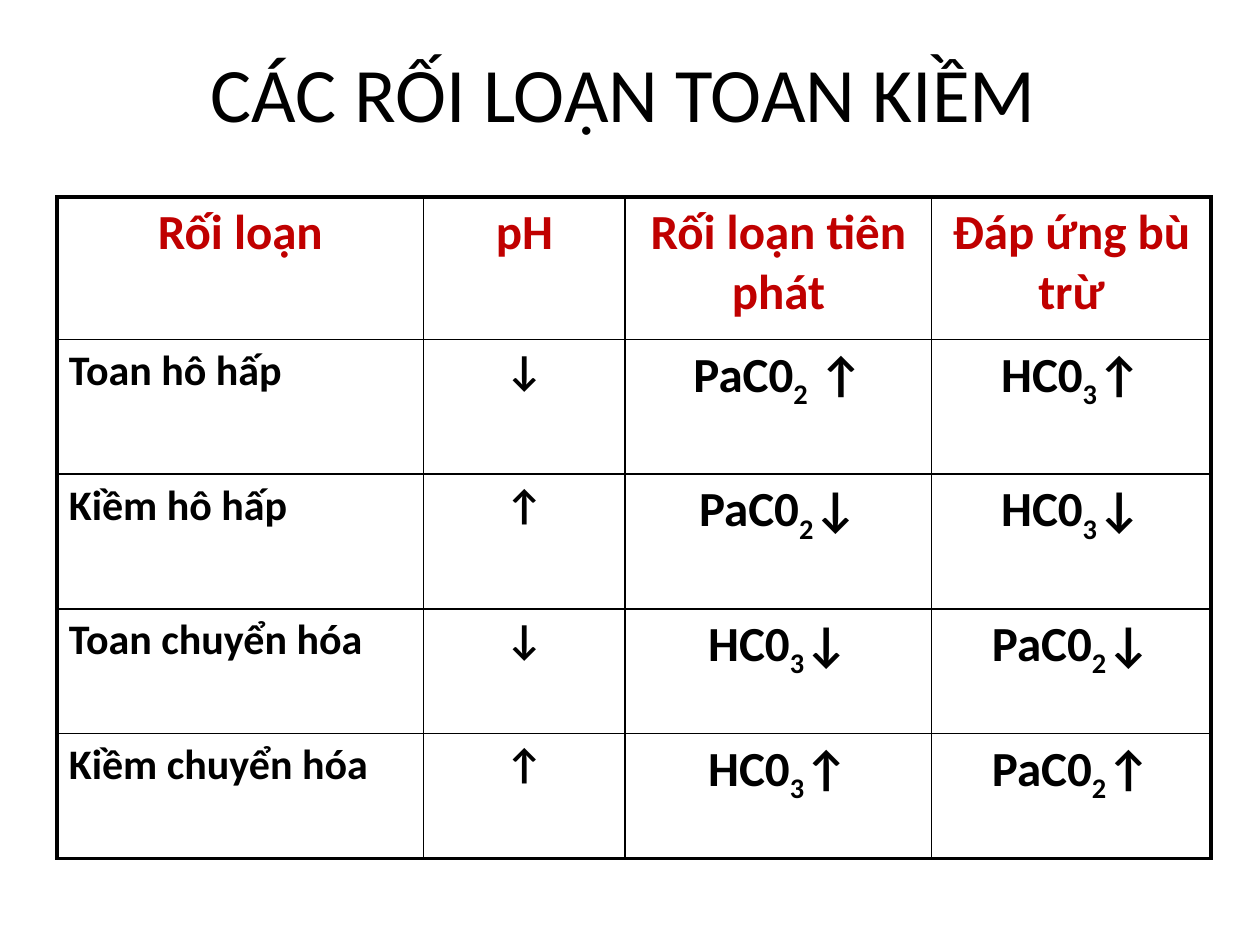
from lxml.etree import SubElement
from pptx import Presentation
from pptx.dml.color import RGBColor
from pptx.enum.text import MSO_ANCHOR as Anchor, PP_ALIGN as Align
from pptx.oxml.ns import qn
from pptx.util import Pt

BLACK = RGBColor(0x00, 0x00, 0x00)
RED = RGBColor(0xC0, 0x00, 0x00)
WHITE = RGBColor(0xFF, 0xFF, 0xFF)
FONT = "Calibri"
THIN, THICK = 1, 2.25

COLUMN_WIDTHS = [209.5, 115.2, 175, 159.8]
ROW_HEIGHTS = [81.4, 77, 77, 71.3, 71.3]

# An underscore marks the next character as a subscript
ROWS = [
    ["Rối loạn", "pH", "Rối loạn tiên phát", "Đáp ứng bù trừ"],
    ["Toan hô hấp", "↓", "PaC0_2 ↑", "HC0_3↑"],
    ["Kiềm hô hấp", "↑", "PaC0_2↓", "HC0_3↓"],
    ["Toan chuyển hóa", "↓", "HC0_3↓", "PaC0_2↓"],
    ["Kiềm chuyển hóa", "↑", "HC0_3↑", "PaC0_2↑"],
]


def write_text(frame, text, size=28, color=BLACK, bold=False, align=Align.CENTER):
    """Write one paragraph, lowering each character that follows an underscore."""
    para = frame.paragraphs[0]
    para.alignment = align
    para.space_before = Pt(0)
    start, _, rest = text.partition("_")
    for part, baseline in ((start, 0), (rest[:1], -25000), (rest[1:], 0)):
        if not part:
            continue
        span = para.add_run()
        span.text = part
        span.font.name = FONT
        span.font.size = Pt(size)
        span.font.bold = bold
        span.font.color.rgb = color
        if baseline:
            span.font._element.set("baseline", str(baseline))


def set_borders(cell, widths):
    """Draw the left, right, top and bottom borders, in that order."""
    properties = cell._tc.get_or_add_tcPr()
    for side, width in zip("LRTB", widths):
        line = SubElement(properties, qn(f"a:ln{side}"), w=str(Pt(width)))
        fill = SubElement(line, qn("a:solidFill"))
        SubElement(fill, qn("a:srgbClr"), val=str(BLACK))


def add_title(page, text):
    title = page.shapes.title
    title.left, title.top, title.width, title.height = Pt(50.4), Pt(15.1), Pt(612), Pt(75)
    title.text_frame.word_wrap = True
    title.text_frame.vertical_anchor = Anchor.MIDDLE
    write_text(title.text_frame, text, size=44)


def add_disorder_table(page):
    last_row, last_column = len(ROWS) - 1, len(COLUMN_WIDTHS) - 1
    table = page.shapes.add_table(
        len(ROWS), len(COLUMN_WIDTHS), Pt(32.6), Pt(112.5),
        Pt(sum(COLUMN_WIDTHS)), Pt(sum(ROW_HEIGHTS))).table
    for column, width in zip(table.columns, COLUMN_WIDTHS):
        column.width = Pt(width)
    for row, height in zip(table.rows, ROW_HEIGHTS):
        row.height = Pt(height)

    for r, texts in enumerate(ROWS):
        for c, text in enumerate(texts):
            cell = table.cell(r, c)
            cell.margin_left = cell.margin_right = Pt(6.8)
            cell.margin_top = cell.margin_bottom = Pt(3.6)
            # Thick lines only on the outer edge
            outer = (c == 0, c == last_column, r == 0, r == last_row)
            set_borders(cell, [THICK if edge else THIN for edge in outer])
            cell.fill.solid()
            cell.fill.fore_color.rgb = WHITE
            header = r == 0
            write_text(cell.text_frame, text, bold=True,
                       size=28 if header or c > 1 else 24,
                       color=RED if header else BLACK,
                       align=Align.LEFT if c == 0 and not header else Align.CENTER)


def main():
    deck = Presentation()
    deck.slide_width, deck.slide_height = Pt(720), Pt(540)
    page = deck.slides.add_slide(deck.slide_layouts[5])
    add_title(page, "CÁC RỐI LOẠN TOAN KIỀM")
    add_disorder_table(page)
    deck.save("out.pptx")


if __name__ == "__main__":
    main()
